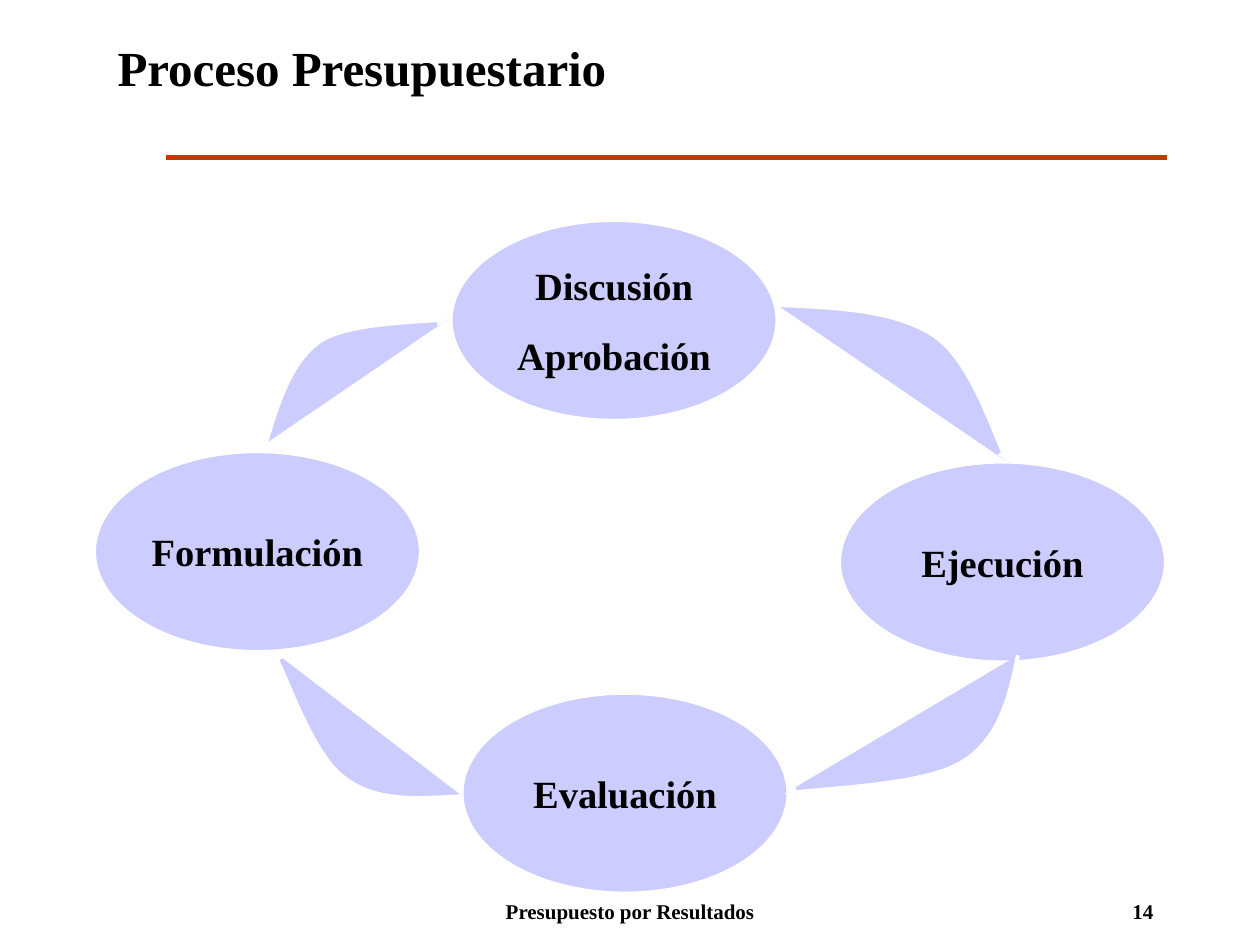
from dataclasses import dataclass

from lxml import etree
from pptx import Presentation
from pptx.dml.color import RGBColor
from pptx.enum.shapes import MSO_CONNECTOR, MSO_SHAPE
from pptx.enum.text import MSO_ANCHOR, PP_ALIGN
from pptx.oxml.ns import qn
from pptx.util import Cm, Pt

STRAIGHT = MSO_CONNECTOR.STRAIGHT
OVAL = MSO_SHAPE.OVAL
MIDDLE, TOP = MSO_ANCHOR.MIDDLE, MSO_ANCHOR.TOP
LEFT, CENTER, RIGHT = PP_ALIGN.LEFT, PP_ALIGN.CENTER, PP_ALIGN.RIGHT


@dataclass(frozen=True)
class Theme:
    font: str = "Times New Roman"
    ink: RGBColor = RGBColor(0, 0, 0)
    stage: RGBColor = RGBColor(0xCC, 0xCC, 0xFF)
    outline: RGBColor = RGBColor(0xFF, 0xFF, 0xFF)
    rule: RGBColor = RGBColor(0xCC, 0x33, 0x00)
    title_size: float = 28
    stage_size: float = 22
    footer_size: float = 12
    stage_gap: float = 13.8


THEME = Theme()

STAGE_SIZE = (6.56, 4.02)
STAGES = [
    ((7.19, 0), ["Discusión", "Aprobación"]),
    ((15.02, 4.87), ["Ejecución"]),
    ((7.41, 9.53), ["Evaluación"]),
    ((0, 4.66), ["Formulación"]),
]
ARROWS = [
    [(13.76, 1.7), (14.96, 1.75), (16.15, 1.8), (16.94, 2.33),
     (17.72, 2.87), (18.16, 4.44), (18.41, 4.87)],
    [(18.61, 8.76), (18.44, 9.62), (18.23, 10.49), (17.44, 10.94),
     (16.66, 11.4), (14.5, 11.45), (13.91, 11.55)],
    [(7.41, 11.6), (6.52, 11.65), (5.66, 11.73), (5.02, 11.22),
     (4.36, 10.74), (3.83, 9.06), (3.58, 8.66)],
    [(3.45, 4.49), (3.7, 3.68), (3.93, 2.87), (4.54, 2.43),
     (5.15, 2.03), (6.7, 2.05), (7.13, 1.98)],
]
CURVE_STEPS = 16


def write_text(frame, lines, size, align=LEFT, anchor=TOP, wrap=True, gap=0):
    frame.word_wrap = wrap
    frame.vertical_anchor = anchor
    for index, line in enumerate(lines):
        para = frame.paragraphs[0] if index == 0 else frame.add_paragraph()
        para.alignment = align
        if index:
            para.space_before = Pt(gap)
        span = para.add_run()
        span.text = line
        formats = {"name": THEME.font, "size": Pt(size), "bold": True}
        for name, value in formats.items():
            setattr(span.font, name, value)
        span.font.color.rgb = THEME.ink


def add_label(page, box, text, size, align=LEFT):
    label = page.shapes.add_textbox(*map(Cm, box))
    write_text(label.text_frame, [text], size, align)


def style_shape(shape, width):
    shape.shadow.inherit = False
    shape.fill.solid()
    shape.fill.fore_color.rgb = THEME.stage
    shape.line.color.rgb = THEME.outline
    shape.line.width = Pt(width)


def curve_points(controls):
    points = [controls[0]]
    for start in range(0, len(controls) - 1, 3):
        corners = controls[start:start + 4]
        for step in range(1, CURVE_STEPS + 1):
            t = step / CURVE_STEPS
            weights = ((1 - t) ** 3, 3 * t * (1 - t) ** 2,
                       3 * t ** 2 * (1 - t), t ** 3)
            points.append(tuple(
                sum(weight * corner[axis] for weight, corner in zip(weights, corners))
                for axis in (0, 1)))
    return points


def add_curved_arrow(page, left, top, controls):
    points = [(Cm(left + x), Cm(top + y)) for x, y in curve_points(controls)]
    builder = page.shapes.build_freeform(*points[0])
    builder.add_line_segments(points[1:], close=False)
    arrow = builder.convert_to_shape()
    style_shape(arrow, 2.25)
    line = arrow.line._get_or_add_ln()
    etree.SubElement(line, qn("a:tailEnd"), type="triangle")


def add_header(page, box):
    left, top, width, height = box
    add_label(page, (left, top, width, 1.45), "Proceso Presupuestario",
              THEME.title_size)
    rule = page.shapes.add_connector(
        STRAIGHT, Cm(left + 1.22), Cm(top + height),
        Cm(left + width - 0.18), Cm(top + height))
    rule.line.color.rgb = THEME.rule
    rule.line.width = Pt(3)
    etree.SubElement(rule._element.spPr, qn("a:effectLst"))


def add_cycle(page, box):
    left, top = box[:2]
    for (x, y), lines in STAGES:
        stage = page.shapes.add_shape(
            OVAL, *map(Cm, (left + x, top + y, *STAGE_SIZE)))
        style_shape(stage, 1.5)
        write_text(stage.text_frame, lines, THEME.stage_size, CENTER, MIDDLE,
                   wrap=False, gap=THEME.stage_gap)
    for controls in ARROWS:
        add_curved_arrow(page, left, top, controls)


def add_footer(page, box):
    left, top, width, height = box
    add_label(page, (left, top, 8.05, height), "Presupuesto por Resultados",
              THEME.footer_size, CENTER)
    add_label(page, (left + width - 5.28, top, 5.28, height), "14",
              THEME.footer_size, RIGHT)


def main():
    deck = Presentation()
    deck.slide_width, deck.slide_height = Cm(25.4), Cm(19.05)
    page = deck.slides.add_slide(deck.slide_layouts[6])
    add_cycle(page, (1.91, 4.45, 21.59, 13.55))
    add_header(page, (2.12, 0.64, 21.59, 2.54))
    add_footer(page, (8.68, 17.98, 14.82, 0.64))
    deck.save("out.pptx")


if __name__ == "__main__":
    main()
